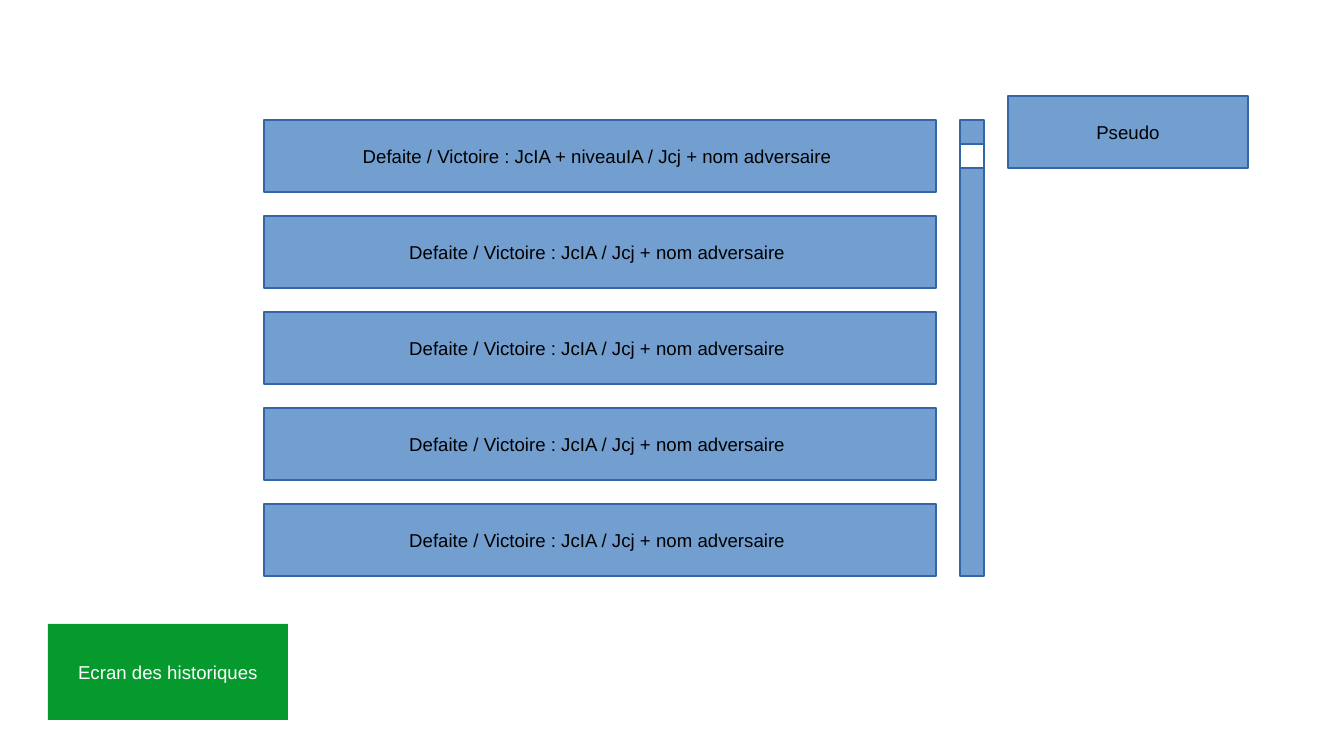
from dataclasses import dataclass

from pptx import Presentation
from pptx.dml.color import RGBColor
from pptx.enum.shapes import MSO_SHAPE
from pptx.enum.text import MSO_ANCHOR, PP_ALIGN
from pptx.util import Cm, Pt


@dataclass(frozen=True)
class Theme:
    blue: RGBColor = RGBColor(0x72, 0x9F, 0xCF)
    border: RGBColor = RGBColor(0x34, 0x65, 0xA4)
    green: RGBColor = RGBColor(0x06, 0x9A, 0x2E)
    white: RGBColor = RGBColor(0xFF, 0xFF, 0xFF)
    black: RGBColor = RGBColor(0x00, 0x00, 0x00)
    font: str = "Arial"
    size: Pt = Pt(11)


theme = Theme()

prs = Presentation()
prs.slide_width, prs.slide_height = Cm(28), Cm(15.75)
slide = prs.slides.add_slide(prs.slide_layouts[6])


def add_box(left, top, width, height, text="", fill=theme.blue,
            color=theme.black, border=theme.border):
    """Draw a rectangle, measured in centimetres, with an optional centred label."""
    box = slide.shapes.add_shape(
        MSO_SHAPE.RECTANGLE, Cm(left), Cm(top), Cm(width), Cm(height))
    box.shadow.inherit = False
    box.fill.solid()
    box.fill.fore_color.rgb = fill
    if border is None:
        box.line.fill.background()
    else:
        box.line.color.rgb = border
        box.line.width = Pt(0)
    if text:
        box.text_frame.vertical_anchor = MSO_ANCHOR.MIDDLE
        label = box.text_frame.paragraphs[0]
        label.text = text
        label.alignment = PP_ALIGN.CENTER
        label.font.name = theme.font
        label.font.size = theme.size
        label.font.color.rgb = color


add_box(1, 13, 5, 2, "Ecran des historiques", theme.green, theme.white, border=None)

# Match history
list_top, row_height, row_pitch = 2.5, 1.5, 2
matches = ["Defaite / Victoire : JcIA + niveauIA / Jcj + nom adversaire "]
matches += ["Defaite / Victoire : JcIA / Jcj + nom adversaire "] * 4
for row, match in enumerate(matches):
    add_box(5.5, list_top + row * row_pitch, 14, row_height, match)

# Scroll bar and its thumb
list_height = (len(matches) - 1) * row_pitch + row_height
add_box(20, list_top, 0.5, list_height)
add_box(20, list_top + 0.5, 0.5, 0.5, fill=theme.white)

add_box(21, 2, 5, 1.5, "Pseudo")

prs.save("out.pptx")
